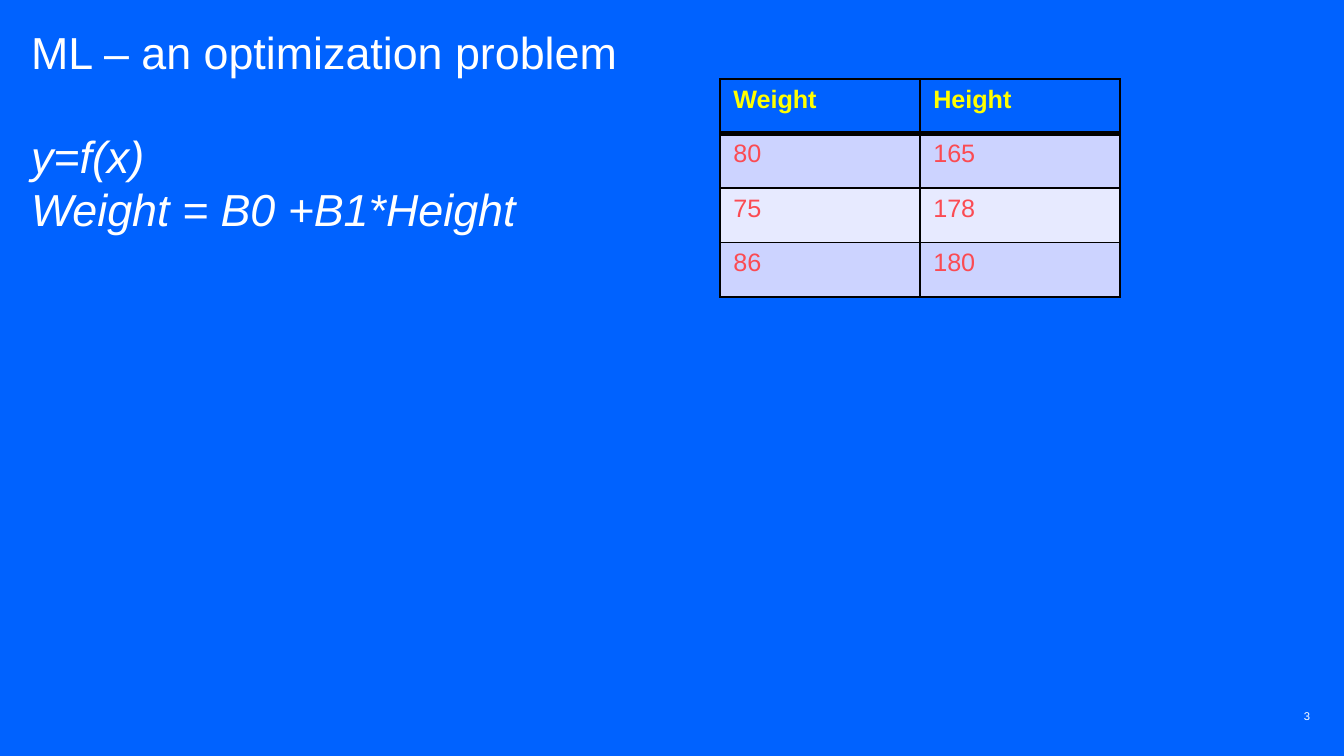
from lxml import etree
from pptx import Presentation
from pptx.dml.color import RGBColor
from pptx.enum.text import MSO_ANCHOR, PP_ALIGN
from pptx.oxml.ns import qn
from pptx.util import Pt

RIGHT = PP_ALIGN.RIGHT
TOP, MIDDLE = MSO_ANCHOR.TOP, MSO_ANCHOR.MIDDLE
PX = 914400 / 134.4
HEX = {"blue": "0062FF", "white": "FFFFFF", "yellow": "FFFF00", "red": "FB4B53",
       "band": "CCD3FF", "pale": "E7EAFF", "black": "000000"}


def scale(*nums):
    return [round(n * PX) for n in nums]


def style(run, color, **form):
    run.font.name = "Arial"
    run.font.color.rgb = RGBColor.from_string(HEX[color])
    for key, val in form.items():
        setattr(run.font, key, val)


# Slide and background
deck = Presentation()
deck.slide_width, deck.slide_height = scale(1344, 756)
slide = deck.slides.add_slide(deck.slide_layouts[6])
back = slide.background.fill
back.solid()
back.fore_color.rgb = RGBColor.from_string(HEX["blue"])

# Title with formulas, and page number: place, anchor, lines
# Each line: text, font format, paragraph format
exact = {"line_spacing": Pt(28)}
head = {"size": Pt(24)}
math = {"size": Pt(24), "italic": True}
texts = [
    ((31, 26, 620, 634), TOP, [
        ("ML – an optimization problem", head, exact),
        ("y=f(x)", math, {**exact, "space_before": Pt(28)}),
        ("Weight = B0 +B1*Height", math, exact)]),
    ((1042, 704, 268, 24), MIDDLE, [
        ("3", {"size": Pt(6)}, {"alignment": RIGHT})]),
]
for place, anchor, lines in texts:
    frame = slide.shapes.add_textbox(*scale(*place)).text_frame
    setup = {"word_wrap": True, "vertical_anchor": anchor, "margin_left": 0,
             "margin_right": 0, "margin_top": 0, "margin_bottom": 0}
    for key, val in setup.items():
        setattr(frame, key, val)
    for i, (words, form, layout) in enumerate(lines):
        para = frame.add_paragraph() if i else frame.paragraphs[0]
        for key, val in layout.items():
            setattr(para, key, val)
        run = para.add_run()
        run.text = words
        style(run, "white", **form)

# Data table
rows = [("Weight", "Height"), ("80", "165"), ("75", "178"), ("86", "180")]
fills = ["blue", "band", "pale", "band"]
table = slide.shapes.add_table(len(rows), 2, *scale(720, 79, 400, 218)).table
for r, row in enumerate(rows):
    for c, words in enumerate(row):
        cell = table.cell(r, c)
        cell.fill.solid()
        cell.fill.fore_color.rgb = RGBColor.from_string(HEX[fills[r]])
        run = cell.text_frame.paragraphs[0].add_run()
        run.text = words
        style(run, "red" if r else "yellow", size=Pt(13.5), bold=r == 0)

        # Borders, with a thick rule under the header
        props = cell._tc.get_or_add_tcPr()
        widths = {"lnL": 1, "lnR": 1, "lnT": 3 if r == 1 else 1, "lnB": 1 if r else 3}
        for i, (side, width) in enumerate(widths.items()):
            edge = etree.Element(qn("a:" + side), w=str(Pt(width)))
            paint = etree.SubElement(edge, qn("a:solidFill"))
            etree.SubElement(paint, qn("a:srgbClr"), val=HEX["black"])
            props.insert(i, edge)

deck.save("out.pptx")
